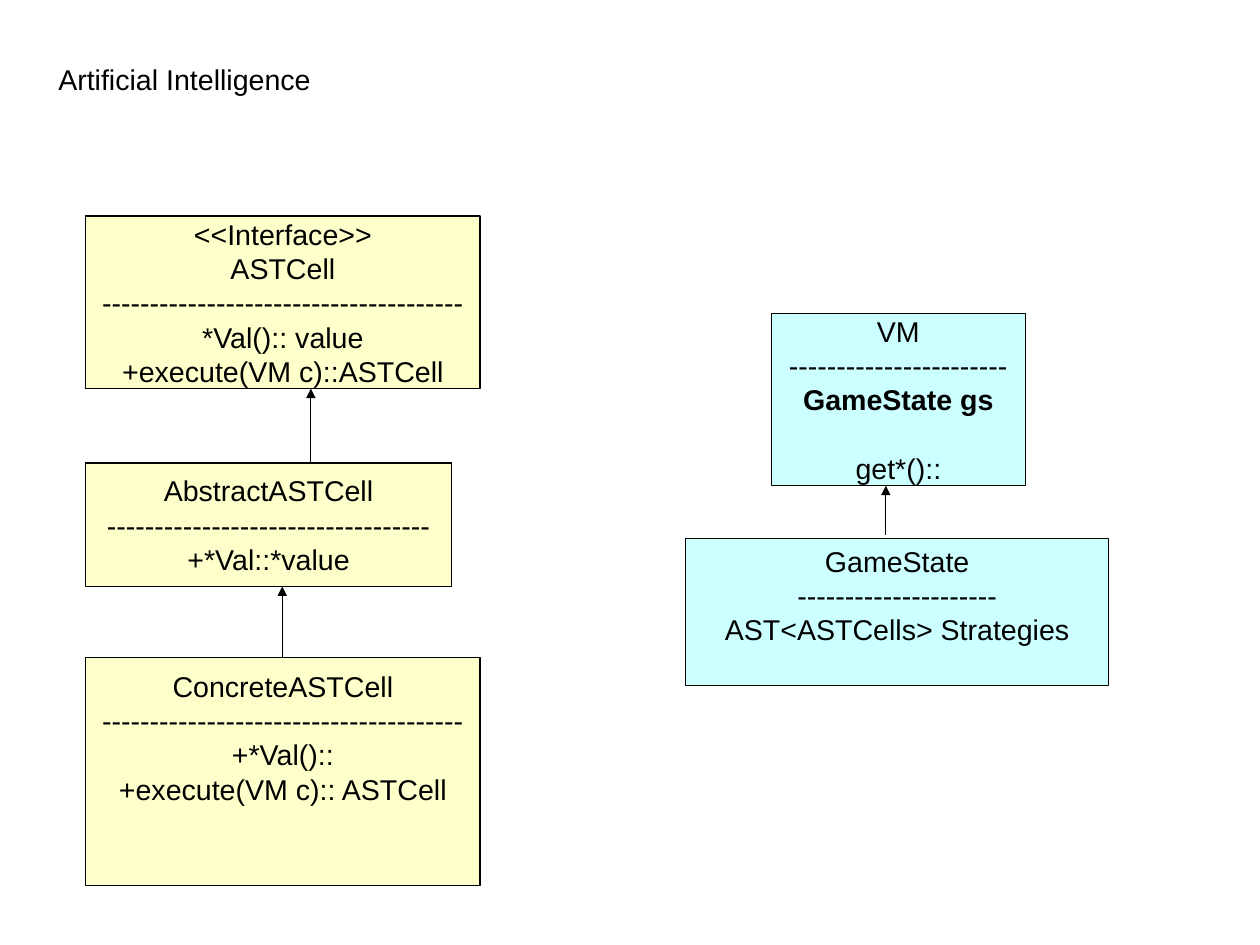
"""Build a class diagram slide of syntax tree cells and their machine."""
from lxml import etree
from pptx import Presentation
from pptx.dml.color import RGBColor
from pptx.enum.shapes import MSO_CONNECTOR, MSO_SHAPE
from pptx.enum.text import MSO_ANCHOR, PP_ALIGN
from pptx.oxml.ns import qn
from pptx.util import Cm, Inches, Pt

RECTANGLE = MSO_SHAPE.RECTANGLE
STRAIGHT = MSO_CONNECTOR.STRAIGHT
MIDDLE = MSO_ANCHOR.MIDDLE
CENTER = PP_ALIGN.CENTER
LEFT = PP_ALIGN.LEFT

PAGE_SIZE = (Cm(28), Cm(21))
COLORS = {"ink": "000000", "cell": "FFFFCC", "machine": "CCFFFF"}
FONT = "Arial"
FONT_SIZE = 18
LINE_HEIGHT = 21.6
LINE_WIDTH = 0.75

TITLE = "Artificial Intelligence"
TITLE_FRAME = (0.51, 0, 9.92, 1.38)

CLASSES = [
    {"frame": (0.75, 1.89, 3.45, 1.51), "fill": "cell", "rows_below": 0,
     "lines": ["<<Interface>>", "ASTCell", "-" * 38,
               "*Val():: value", "+execute(VM c)::ASTCell"]},
    {"frame": (0.75, 4.05, 3.2, 1.08), "fill": "cell", "rows_below": 0,
     "lines": ["AbstractASTCell", "-" * 34, "+*Val::*value"]},
    {"frame": (0.75, 5.75, 3.45, 2), "fill": "cell", "rows_below": 2,
     "lines": ["ConcreteASTCell", "-" * 38, "+*Val()::",
               "+execute(VM c):: ASTCell"]},
    {"frame": (6.75, 2.74, 2.22, 1.51), "fill": "machine", "rows_below": 0,
     "lines": ["VM", "-" * 23, "GameState gs", "get*()::"]},
    {"frame": (6, 4.71, 3.7, 1.29), "fill": "machine", "rows_below": 1,
     "lines": ["GameState", "-" * 21, "AST<ASTCells> Strategies"]},
]
BOLD_LINE = "GameState gs"
SPACED_LINE = "get*()::"

ARROWS = [(2.72, 4.05, 3.4), (2.47, 5.99, 5.13), (7.75, 4.68, 4.25)]


def color(name):
    return RGBColor.from_string(COLORS[name])


def draw_outline(line):
    line.color.rgb = color("ink")
    line.width = Pt(LINE_WIDTH)


def write_lines(shape, lines, alignment):
    frame = shape.text_frame
    frame.word_wrap = False
    frame.vertical_anchor = MIDDLE
    for index, line in enumerate(lines):
        para = frame.paragraphs[0] if index == 0 else frame.add_paragraph()
        para.text = line
        para.alignment = alignment
        para.line_spacing = Pt(LINE_HEIGHT)
        para.space_before = Pt(LINE_HEIGHT if line == SPACED_LINE else 0)
        para.font.name = FONT
        para.font.size = Pt(FONT_SIZE)
        para.font.bold = line == BOLD_LINE
        para.font.color.rgb = color("ink")


def add_title(page):
    box = page.shapes.add_textbox(*map(Inches, TITLE_FRAME))
    frame = box.text_frame
    frame.margin_left = frame.margin_right = 0
    frame.margin_top = frame.margin_bottom = 0
    write_lines(box, [TITLE], LEFT)


def add_arrow(page, x, start, end):
    points = map(Inches, (x, start, x, end))
    arrow = page.shapes.add_connector(STRAIGHT, *points)
    draw_outline(arrow.line)
    properties = arrow._element.spPr
    outline = properties.find(qn("a:ln"))
    etree.SubElement(outline, qn("a:tailEnd"), type="triangle")
    etree.SubElement(properties, qn("a:effectLst"))


def add_class(page, item):
    box = page.shapes.add_shape(RECTANGLE, *map(Inches, item["frame"]))
    box.shadow.inherit = False
    box.fill.solid()
    box.fill.fore_color.rgb = color(item["fill"])
    draw_outline(box.line)
    frame = box.text_frame
    frame.margin_left = frame.margin_right = Inches(0.1)
    frame.margin_top = Inches(0.05)
    frame.margin_bottom = Inches(0.05) + Pt(LINE_HEIGHT * item["rows_below"])
    write_lines(box, item["lines"], CENTER)


def main():
    deck = Presentation()
    deck.slide_width, deck.slide_height = PAGE_SIZE
    page = deck.slides.add_slide(deck.slide_layouts[6])
    add_title(page)
    for arrow in ARROWS:
        add_arrow(page, *arrow)
    for item in CLASSES:
        add_class(page, item)
    deck.save("out.pptx")


if __name__ == "__main__":
    main()
